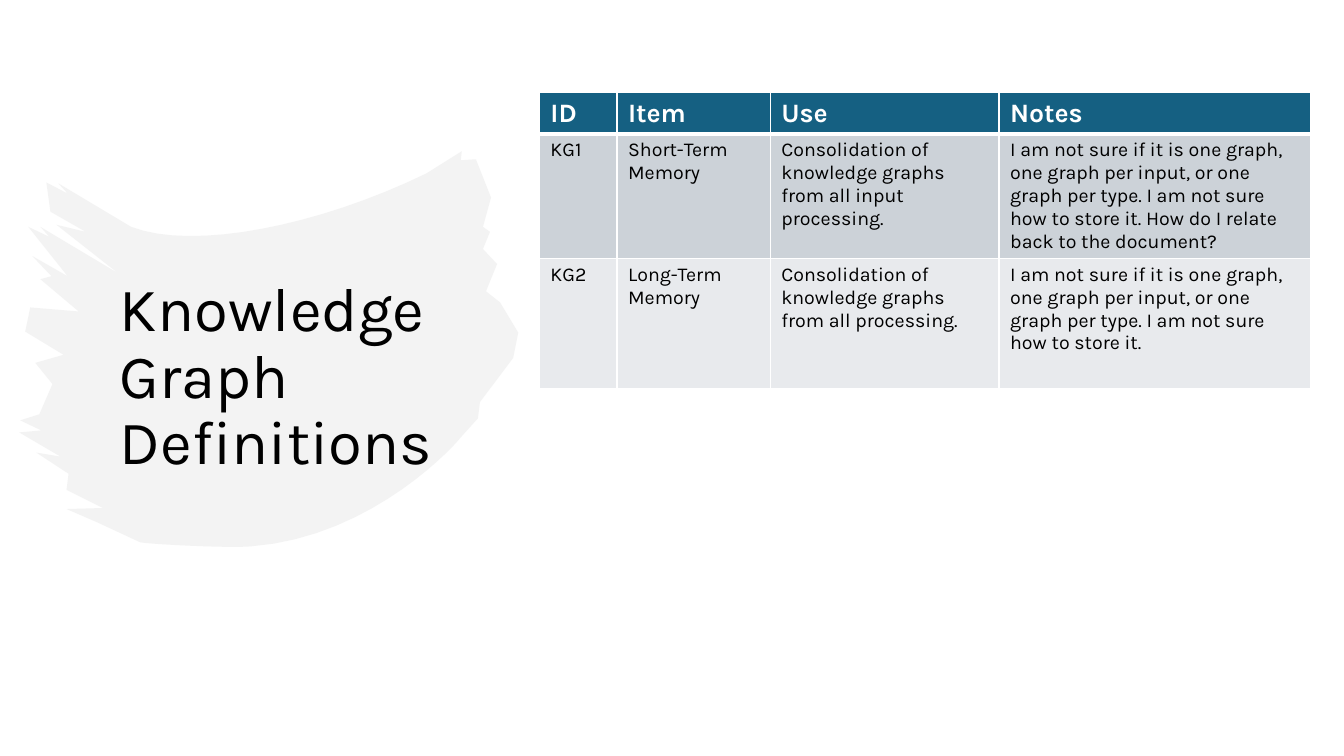
from lxml import etree
from pptx import Presentation
from pptx.dml.color import RGBColor
from pptx.enum import text as txt
from pptx.oxml import ns
from pptx.util import Inches, Pt

FONT = "Karla"
COLOURS = {
    "brush": "E8E8E8", "ink": "000000", "paper": "FFFFFF",
    "header": "156082", "odd": "CCD2D8", "even": "E8EAED",
}
COLUMN_WIDTHS = (0.77, 1.52, 2.27, 3.09)
ROW_HEIGHTS = (0.34, 1.02, 1.29)
DEFINITIONS = (
    ("ID", "Item", "Use", "Notes"),
    ("KG1", "Short-Term Memory",
     "Consolidation of knowledge graphs from all input processing.",
     "I am not sure if it is one graph, one graph per input, or one graph per type. "
     "I am not sure how to store it. How do I relate back to the document?"),
    ("KG2", "Long-Term Memory",
     "Consolidation of knowledge graphs from all processing.",
     "I am not sure if it is one graph, one graph per input, or one graph per type. "
     "I am not sure how to store it."),
)
RIGHT_EDGE = ((4.39, 0), (4.38, 0.09), (4.53, 0.08), (4.68, 0.46), (4.6, 0.75),
              (4.67, 0.8), (4.6, 0.97), (4.74, 1.12), (4.63, 1.39), (4.77, 1.5),
              (4.95, 1.8), (4.9, 2.05), (4.57, 2.49), (4.55, 2.65))
LEFT_EDGE = ((0.77, 3.68), (0.47, 3.55), (0.83, 3.54), (0.47, 3.36), (0.49, 3.2),
             (0.17, 2.99), (0.41, 3.03), (0, 2.79), (0.22, 2.77), (0.01, 2.67),
             (0.2, 2.61), (0.33, 2.31), (0.16, 2.1), (0.44, 2.02), (0.06, 1.79),
             (0.11, 1.55), (0.59, 1.59), (0.21, 1.27), (0.32, 1.24), (0.13, 1.04),
             (0.48, 1.24), (0.09, 0.75), (0.3, 0.85), (0.21, 0.75), (0.98, 1.21),
             (0.37, 0.73), (0.66, 0.8), (0.31, 0.6), (0.27, 0.31), (0.48, 0.42),
             (0.39, 0.32))
LOWER_CURVE = ((4.37, 2.85), (4.37, 2.86), (3.53, 3.83), (2.3, 3.92))
LOWER_LEFT_CURVE = ((2.3, 3.92), (2.1, 3.94), (1.31, 3.9), (1.2, 3.88))
UPPER_CURVE = ((1.11, 0.75), (1.73, 0.99), (2.97, 0.74), (4.04, 0.22))


def write(frame, content, size, colour, bold=False, spacing=1.0):
    """Fill a text frame with one left-aligned paragraph."""
    frame.word_wrap = True
    line = frame.paragraphs[0]
    line.alignment = txt.PP_ALIGN.LEFT
    line.line_spacing = spacing
    run = line.add_run()
    run.text = content
    run.font.name, run.font.size, run.font.bold = FONT, Pt(size), bold
    run.font.color.rgb = RGBColor.from_string(COLOURS[colour])


def border_cell(cell, bottom):
    """Draw white borders, with the bottom one as wide as given in points."""
    properties = cell._tc.get_or_add_tcPr()
    for index, (side, width) in enumerate((("L", 1), ("R", 1), ("T", 1), ("B", bottom))):
        border = etree.Element(ns.qn(f"a:ln{side}"), w=str(Pt(width)))
        fill = etree.SubElement(border, ns.qn("a:solidFill"))
        etree.SubElement(fill, ns.qn("a:srgbClr"), val=COLOURS["paper"])
        properties.insert(index, border)


def sample_curve(controls, steps=16):
    """Return points along a cubic curve."""
    weights = (1, 3, 3, 1)
    return [
        tuple(sum(w * (1 - t) ** (3 - k) * t ** k * point[axis]
                  for k, (w, point) in enumerate(zip(weights, controls)))
              for axis in (0, 1))
        for t in (step / steps for step in range(steps + 1))
    ]


def add_brush(slide, left, top):
    """Draw the pale brush stroke from its corner."""
    edge = [*RIGHT_EDGE, *sample_curve(LOWER_CURVE), *sample_curve(LOWER_LEFT_CURVE),
            *LEFT_EDGE, *sample_curve(UPPER_CURVE)]
    points = [(Inches(x), Inches(y)) for x, y in edge]
    builder = slide.shapes.build_freeform(*points[0])
    builder.add_line_segments(points[1:], close=True)
    brush = builder.convert_to_shape(Inches(left), Inches(top))
    brush.shadow.inherit = False
    brush.line.fill.background()
    brush.fill.solid()
    brush.fill.fore_color.rgb = RGBColor.from_string(COLOURS["brush"])
    tint = brush.element.spPr.find(".//" + ns.qn("a:srgbClr"))
    etree.SubElement(tint, ns.qn("a:alpha"), val="50000")
    return brush


def add_heading(slide, left, top, width, height):
    """Place the title over its brush stroke."""
    heading = slide.shapes.title
    heading.left, heading.top = Inches(left), Inches(top)
    heading.width, heading.height = Inches(width), Inches(height)
    heading.text_frame.auto_size = txt.MSO_AUTO_SIZE.NONE
    heading.text_frame.vertical_anchor = txt.MSO_ANCHOR.MIDDLE
    write(heading.text_frame, "Knowledge Graph Definitions", 44, "ink", spacing=0.9)
    brush = add_brush(slide, left - 0.9, top + 0.75)
    heading.element.addprevious(brush.element)


def add_definitions(slide, left, top, width, height):
    """Build the table of knowledge graphs."""
    definitions = slide.shapes.add_table(
        len(ROW_HEIGHTS), len(COLUMN_WIDTHS),
        Inches(left), Inches(top), Inches(width), Inches(height)).table
    for column, column_width in zip(definitions.columns, COLUMN_WIDTHS):
        column.width = Inches(column_width)
    styles = (("header", 19, "paper", True), ("odd", 14, "ink", False),
              ("even", 14, "ink", False))
    for r, (fill, size, colour, bold) in enumerate(styles):
        definitions.rows[r].height = Inches(ROW_HEIGHTS[r])
        for c, content in enumerate(DEFINITIONS[r]):
            cell = definitions.cell(r, c)
            cell.margin_left = cell.margin_right = Inches(0.11)
            cell.margin_top = cell.margin_bottom = Inches(0.05)
            cell.fill.solid()
            cell.fill.fore_color.rgb = RGBColor.from_string(COLOURS[fill])
            write(cell.text_frame, content, size, colour, bold)
            border_cell(cell, 3 if r == 0 else 1)


def main():
    """Build and save the slide."""
    deck = Presentation()
    deck.slide_width, deck.slide_height = Inches(13.33), Inches(7.5)
    slide = deck.slides.add_slide(deck.slide_layouts[5])
    add_heading(slide, 1.09, 0.75, 3.82, 6.01)
    add_definitions(slide, 5.35, 0.92, sum(COLUMN_WIDTHS), sum(ROW_HEIGHTS))
    deck.save("out.pptx")


if __name__ == "__main__":
    main()
